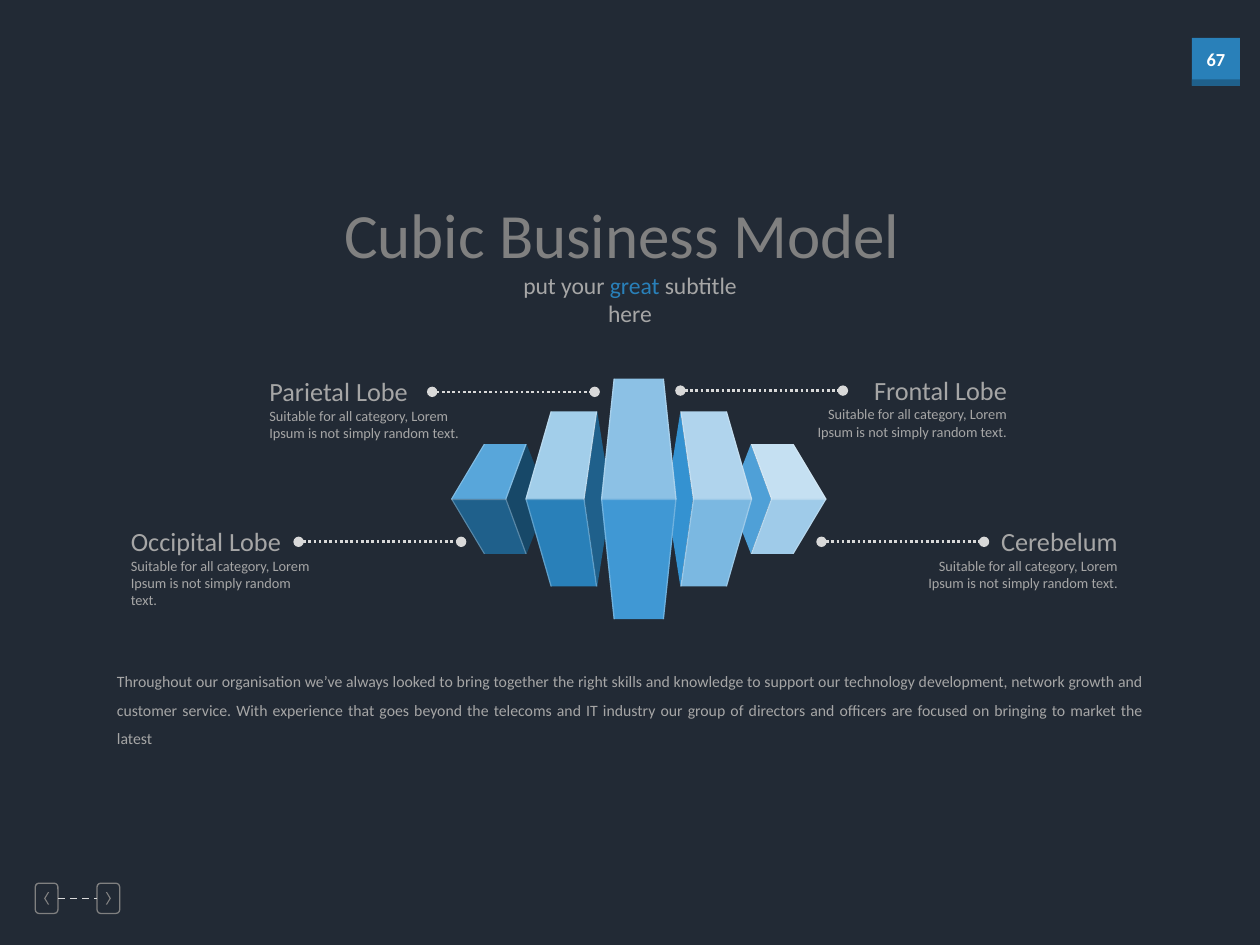
from lxml import etree
from pptx import Presentation
from pptx.dml.color import RGBColor
from pptx.enum.dml import MSO_LINE
from pptx.enum.shapes import MSO_CONNECTOR, MSO_SHAPE
from pptx.enum.text import MSO_ANCHOR, PP_ALIGN as Align
from pptx.oxml.ns import qn
from pptx.util import Inches, Pt

NAVY = RGBColor(0x22, 0x2A, 0x35)
BLUE = RGBColor(0x29, 0x80, 0xB9)
DARK_BLUE = RGBColor(0x1F, 0x60, 0x8B)
GRAY = RGBColor(0x80, 0x80, 0x80)
TEXT_GRAY = RGBColor(0xA6, 0xA6, 0xA6)
LINE_GRAY = RGBColor(0xD9, 0xD9, 0xD9)
WHITE = RGBColor(0xFF, 0xFF, 0xFF)
FONT = "Calibri"

# Offsets from the axis: outer, outer top, inner top, inner, side tip; then half height.
SMALL_CUBE = (1.49, 1.23, 0.89, 1.05, 0.72, 0.435)
MEDIUM_CUBE = (0.9, 0.7, 0.33, 0.43, 0.22, 0.695)
CENTER_CUBE = (0.3, 0.2, -0.2, -0.3, None, 0.955)
# Side of the axis, cube, then colours of the side, upper and lower faces.
CUBES = [
    (-1, SMALL_CUBE, "174868", "58A6DA", "1F608B"),
    (-1, MEDIUM_CUBE, "1F608B", "A2CEEA", "2980B9"),
    (1, SMALL_CUBE, "4FA0D7", "C5E0F2", "9FCBE9"),
    (1, MEDIUM_CUBE, "3492D1", "B0D4ED", "7BB8E1"),
    (-1, CENTER_CUBE, None, "8CC1E5", "4098D4"),
]
EDGE = 0.01
CALLOUT_TEXT = "Suitable for all category, Lorem Ipsum is not simply random text."
CALLOUT_LINE = 1.29


def style_paragraph(paragraph, size, color, alignment=Align.LEFT, bold=False):
    paragraph.alignment = alignment
    paragraph.font.name = FONT
    paragraph.font.size = Pt(size)
    paragraph.font.bold = bold
    paragraph.font.color.rgb = color


def add_text(slide, left, top, width, height, text, size, color,
             alignment=Align.LEFT, wrap=True, bold=False):
    box = slide.shapes.add_textbox(Inches(left), Inches(top), Inches(width), Inches(height))
    box.text_frame.word_wrap = wrap
    paragraph = box.text_frame.paragraphs[0]
    paragraph.text = text
    style_paragraph(paragraph, size, color, alignment, bold)
    return paragraph


def add_plain_shape(slide, kind, left, top, width, height, fill=None):
    shape = slide.shapes.add_shape(kind, Inches(left), Inches(top), Inches(width), Inches(height))
    shape.shadow.inherit = False
    shape.line.fill.background()
    if fill is None:
        shape.fill.background()
    else:
        shape.fill.solid()
        shape.fill.fore_color.rgb = fill
    return shape


def add_line(slide, left, right, y, width, dash, end_style=None):
    connector = slide.shapes.add_connector(
        MSO_CONNECTOR.STRAIGHT, Inches(left), Inches(y), Inches(right), Inches(y))
    connector.line.color.rgb = LINE_GRAY
    connector.line.width = Pt(width)
    connector.line.dash_style = dash
    if end_style:
        line = connector.line._get_or_add_ln()
        for tag in ("a:headEnd", "a:tailEnd"):
            etree.SubElement(line, qn(tag), type=end_style)
    etree.SubElement(connector._element.spPr, qn("a:effectLst"))
    return connector


def add_polygon(slide, points, color, opacity=None):
    corners = [(Inches(x), Inches(y)) for x, y in points]
    builder = slide.shapes.build_freeform(*corners[0], scale=1.0)
    builder.add_line_segments(corners[1:], close=True)
    shape = builder.convert_to_shape()
    shape.shadow.inherit = False
    shape.line.fill.background()
    shape.fill.solid()
    shape.fill.fore_color.rgb = color
    if opacity:
        tint = shape._element.spPr.find(f"{qn('a:solidFill')}/{qn('a:srgbClr')}")
        etree.SubElement(tint, qn("a:alpha"), val=str(opacity * 1000))


def add_headings(slide, left, top, width):
    title = slide.shapes.title
    title.left, title.top = Inches(left), Inches(top)
    title.width, title.height = Inches(width), Inches(0.71)
    title.text_frame.text = "Cubic Business Model"
    title.text_frame.vertical_anchor = MSO_ANCHOR.TOP
    title.text_frame.word_wrap = False
    style_paragraph(title.text_frame.paragraphs[0], 36, GRAY, Align.CENTER)

    subtitle = add_text(slide, 3.9, top + 0.6, 2.2, 0.53, "put your ", 13.5,
                        TEXT_GRAY, Align.CENTER)
    accent = subtitle.add_run()
    accent.text = "great"
    accent.font.color.rgb = BLUE
    subtitle.add_run().text = " subtitle here"


def add_page_badge(slide, left, top, size):
    add_plain_shape(slide, MSO_SHAPE.RECTANGLE, left, top, size, size, BLUE)
    add_plain_shape(slide, MSO_SHAPE.RECTANGLE, left, top + 0.33, size, 0.05, DARK_BLUE)
    add_text(slide, left, top + 0.03, size, 0.28, "67", 10.5, WHITE,
             Align.CENTER, wrap=False, bold=True)


def add_navigation(slide, left, top, width, height):
    button_width = 0.18
    buttons = []
    for button_left, rotation in ((left, 180), (left + width - button_width, 0)):
        button = add_plain_shape(slide, MSO_SHAPE.ROUNDED_RECTANGLE, button_left, top,
                                 button_width, height)
        button.line.color.rgb = GRAY
        button.line.width = Pt(0.75)
        chevron = add_plain_shape(slide, MSO_SHAPE.CHEVRON, button_left + 0.07, top + 0.07,
                                  0.04, 0.1, GRAY)
        chevron.adjustments[0] = 0.75
        chevron.rotation = rotation
        buttons.append(button)
    link = add_line(slide, left + button_width, left + width - button_width,
                    top + height / 2, 1, MSO_LINE.DASH)
    link.begin_connect(buttons[0], 3)
    link.end_connect(buttons[1], 1)


def add_cube(slide, axis, middle, side, cube, *colors):
    half = cube[-1]
    outer, outer_top, inner_top, inner, tip = (
        None if offset is None else axis + side * offset for offset in cube[:-1])
    side_color, upper_color, lower_color = (
        color and RGBColor.from_string(color) for color in colors)
    if side_color:
        add_polygon(slide, [(inner, middle), (inner_top, middle - half),
                            (tip, middle), (inner_top, middle + half)], side_color)
    for edge, color in ((middle - half, upper_color), (middle + half, lower_color)):
        add_polygon(slide, [(inner, middle), (inner_top, edge),
                            (outer_top, edge), (outer, middle)], color)


def add_cube_highlights(slide, axis, middle, side, cube, *colors):
    half = cube[-1]
    outer, outer_top, inner_top, inner = (axis + side * offset for offset in cube[:4])
    add_polygon(slide, [(outer, middle), (inner, middle),
                        (inner, middle + EDGE), (outer, middle + EDGE)], WHITE, 25)
    for corner, top_corner, inset in ((outer, outer_top, -side * EDGE),
                                      (inner, inner_top, side * EDGE)):
        add_polygon(slide, [(corner, middle), (top_corner, middle - half),
                            (top_corner + inset, middle - half), (corner + inset, middle),
                            (top_corner + inset, middle + half),
                            (top_corner, middle + half)], WHITE, 25)


def add_cube_model(slide, axis, middle):
    for draw in (add_cube, add_cube_highlights):
        for cube in CUBES:
            draw(slide, axis, middle, *cube)


def add_callout(slide, left, top, width, title, title_width, alignment, line_left):
    title_left = left if alignment == Align.LEFT else left + width - title_width
    add_text(slide, title_left, top, title_width, 0.35, title, 15, TEXT_GRAY,
             alignment, wrap=False)
    add_text(slide, left, top + 0.25, width, 0.38, CALLOUT_TEXT, 8.2, TEXT_GRAY, alignment)
    add_line(slide, line_left, line_left + CALLOUT_LINE, top + 0.18, 1.5,
             MSO_LINE.ROUND_DOT, "oval")


def add_summary(slide, left, top, width, height):
    paragraph = add_text(
        slide, left, top, width, height,
        "Throughout our organisation we’ve always looked to bring together the right skills "
        "and knowledge to support our technology development, network growth and customer "
        "service. With experience that goes beyond the telecoms and IT industry our group of "
        "directors and officers are focused on bringing to market the latest",
        9, TEXT_GRAY, Align.JUSTIFY)
    paragraph.line_spacing = 1.5


def main():
    presentation = Presentation()
    presentation.slide_width, presentation.slide_height = Inches(10), Inches(7.5)
    slide = presentation.slides.add_slide(presentation.slide_layouts[5])
    slide.background.fill.solid()
    slide.background.fill.fore_color.rgb = NAVY

    add_page_badge(slide, 9.46, 0.3, 0.38)
    add_navigation(slide, 0.28, 7.01, 0.67, 0.24)
    add_headings(slide, 2.57, 1.5, 4.73)
    add_summary(slide, 0.83, 5.21, 8.33, 0.78)
    add_cube_model(slide, 5.07, 3.96)
    add_callout(slide, 2.04, 2.93, 1.84, "Parietal Lobe", 1.31, Align.LEFT, 3.43)
    add_callout(slide, 0.94, 4.12, 1.7, "Occipital Lobe", 1.41, Align.LEFT, 2.37)
    add_callout(slide, 6.38, 2.92, 1.71, "Frontal Lobe", 1.27, Align.RIGHT, 5.4)
    add_callout(slide, 7.16, 4.12, 1.81, "Cerebelum", 1.14, Align.RIGHT, 6.52)
    presentation.save("out.pptx")


if __name__ == "__main__":
    main()
